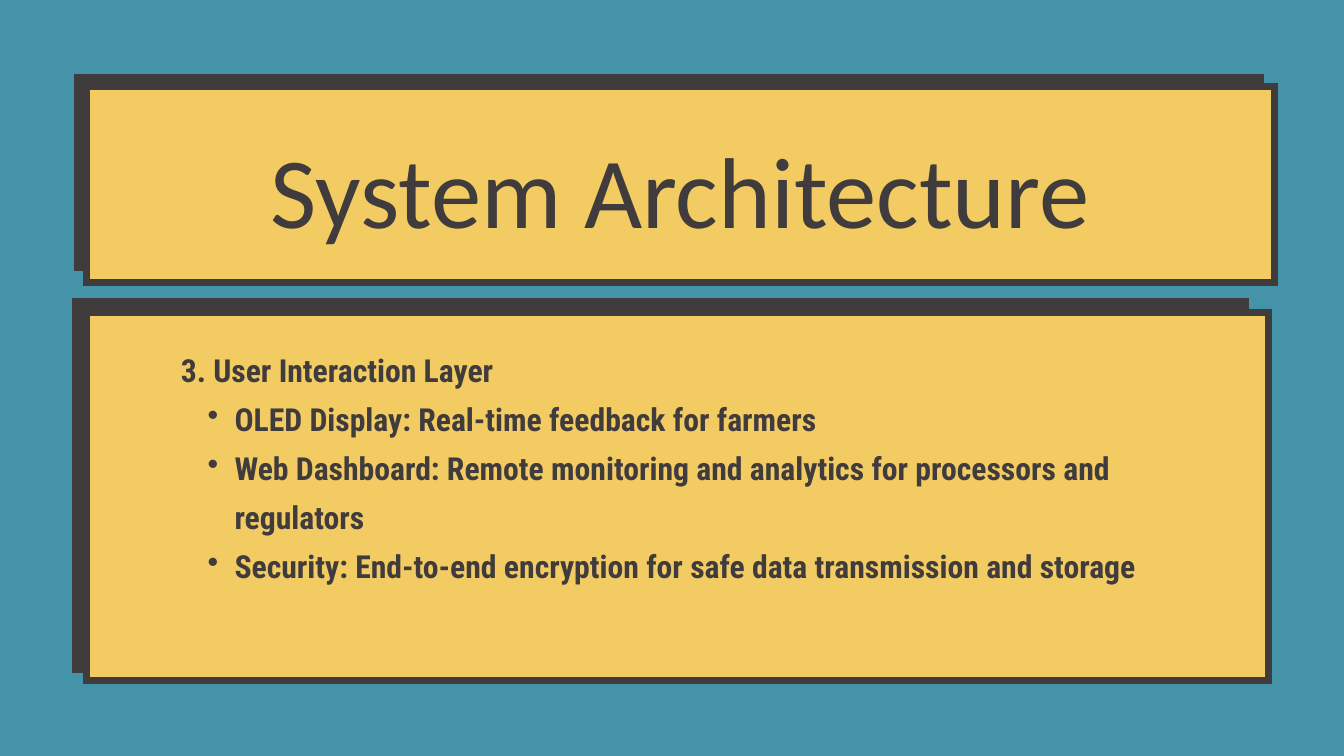
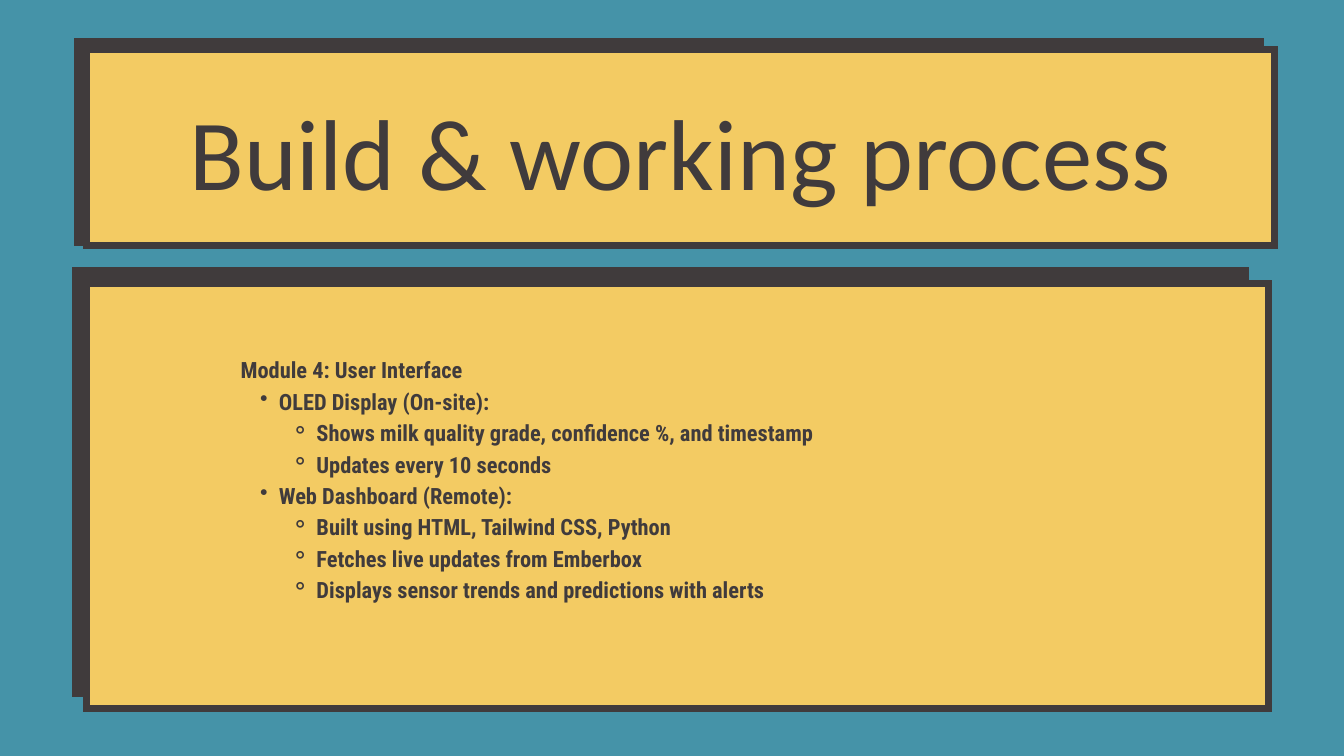
from dataclasses import dataclass

from lxml import etree
from pptx import Presentation
from pptx.dml.color import RGBColor
from pptx.enum.shapes import MSO_SHAPE
from pptx.enum.text import MSO_ANCHOR, MSO_AUTO_SIZE, PP_ALIGN
from pptx.oxml.ns import qn
from pptx.slide import Slide
from pptx.text.text import TextFrame
from pptx.util import Inches, Pt

RECTANGLE = MSO_SHAPE.RECTANGLE
TOP = MSO_ANCHOR.TOP
NO_AUTOFIT = MSO_AUTO_SIZE.NONE
CENTER, LEFT = PP_ALIGN.CENTER, PP_ALIGN.LEFT

SLIDE_WIDTH, SLIDE_HEIGHT = Inches(20), Inches(11.25)
COLUMNS, ROWS = 80, 45
TITLE_LAYOUT = 5


@dataclass(frozen=True)
class TextStyle:
    font: str
    size: float
    spacing: float
    bold: bool
    align: PP_ALIGN


@dataclass(frozen=True)
class Theme:
    background: RGBColor = RGBColor(0x45, 0x93, 0xA8)
    face: RGBColor = RGBColor(0xF3, 0xCB, 0x63)
    ink: RGBColor = RGBColor(0x40, 0x3B, 0x3C)
    border: float = 7.5
    thin_border: float = 3
    title: TextStyle = TextStyle("Calibri", 107.8, 150.9, False, CENTER)
    large: TextStyle = TextStyle("Roboto Condensed", 34, 52.7, True, LEFT)
    small: TextStyle = TextStyle("Roboto Condensed", 24, 33.6, True, LEFT)


THEME = Theme()


@dataclass(frozen=True)
class Area:
    column: float
    row: float
    columns: float
    rows: float

    def emu(self) -> tuple[int, int, int, int]:
        cell_width, cell_height = SLIDE_WIDTH / COLUMNS, SLIDE_HEIGHT / ROWS
        return (round(self.column * cell_width), round(self.row * cell_height),
                round(self.columns * cell_width), round(self.rows * cell_height))


@dataclass(frozen=True)
class Span:
    row: float
    rows: float


@dataclass(frozen=True)
class Bullet:
    symbol: str
    indent: float
    hanging: float


@dataclass(frozen=True)
class Line:
    text: str
    level: int = 0


@dataclass(frozen=True)
class Topic:
    title: str
    title_row: float
    band_shade: Span
    band_face: Span
    panel_shade: Span
    panel_face: Span
    body: Area
    style: TextStyle
    bullets: dict[int, Bullet]
    lines: tuple[Line, ...]


TOPICS = (
    Topic(
        "System Architecture", 6.4,
        Span(4.48, 11.6), Span(5.16, 11.64),
        Span(17.96, 21.88), Span(18.6, 21.88),
        Area(10.76, 20.2, 58.12, 17.76), THEME.large,
        {1: Bullet("•", 0.8, 0.4)},
        (
            Line("3. User Interaction Layer"),
            Line("OLED Display: Real-time feedback for farmers", 1),
            Line("Web Dashboard: Remote monitoring and analytics for processors and regulators", 1),
            Line("Security: End-to-end encryption for safe data transmission and storage", 1),
        ),
    ),
    Topic(
        "Build & working process", 4.16,
        Span(2.32, 12.24), Span(2.96, 11.64),
        Span(16.12, 25.16), Span(16.88, 25.28),
        Area(14.32, 20.96, 51.36, 14.96), THEME.small,
        {1: Bullet("•", 0.57, 0.28), 2: Bullet("⚬", 1.13, 0.38)},
        (
            Line("Module 4: User Interface"),
            Line("OLED Display (On-site):", 1),
            Line("Shows milk quality grade, confidence %, and timestamp", 2),
            Line("Updates every 10 seconds", 2),
            Line("Web Dashboard (Remote):", 1),
            Line("Built using HTML, Tailwind CSS, Python", 2),
            Line("Fetches live updates from Emberbox", 2),
            Line("Displays sensor trends and predictions with alerts", 2),
        ),
    ),
)


def draw_card(slide: Slide, area: Area, fill: RGBColor, border: float) -> None:
    card = slide.shapes.add_shape(RECTANGLE, *area.emu())
    card.shadow.inherit = False
    card.fill.solid()
    card.fill.fore_color.rgb = fill
    card.line.color.rgb = THEME.ink
    card.line.width = Pt(border)
    outline = card.element.spPr.find(qn("a:ln"))
    etree.SubElement(outline, qn("a:miter"), lim="800000")


def write_lines(frame: TextFrame, lines: tuple[Line, ...], style: TextStyle,
                bullets: dict[int, Bullet]) -> None:
    frame.word_wrap = True
    frame.auto_size = NO_AUTOFIT
    frame.vertical_anchor = TOP
    frame.margin_left = frame.margin_top = frame.margin_right = frame.margin_bottom = 0
    for index, line in enumerate(lines):
        paragraph = frame.add_paragraph() if index else frame.paragraphs[0]
        paragraph.text = line.text
        paragraph.level = line.level
        paragraph.alignment = style.align
        paragraph.line_spacing = Pt(style.spacing)
        if line.level in bullets:
            bullet = bullets[line.level]
            properties = paragraph._p.get_or_add_pPr()
            properties.set("marL", str(Inches(bullet.indent)))
            properties.set("indent", str(-Inches(bullet.hanging)))
            etree.SubElement(properties, qn("a:buChar"), char=bullet.symbol)
        paragraph.font.name = style.font
        paragraph.font.size = Pt(style.size)
        paragraph.font.bold = style.bold
        paragraph.font.color.rgb = THEME.ink


def draw_title(slide: Slide, topic: Topic) -> None:
    title = slide.shapes.title
    title.left, title.top, title.width, title.height = Area(
        8.16, topic.title_row, 64.68, 8.2).emu()
    write_lines(title.text_frame, (Line(topic.title),), THEME.title, {})
    title.element.getparent().append(title.element)


def draw_topic(slide: Slide, topic: Topic) -> None:
    slide.background.fill.solid()
    slide.background.fill.fore_color.rgb = THEME.background
    for column, columns, span, fill, border in (
        (4.48, 70.68, topic.band_shade, THEME.ink, THEME.thin_border),
        (5.16, 70.68, topic.band_face, THEME.face, THEME.border),
        (4.48, 69.64, topic.panel_shade, THEME.ink, THEME.border),
        (5.16, 70.32, topic.panel_face, THEME.face, THEME.border),
    ):
        draw_card(slide, Area(column, span.row, columns, span.rows), fill, border)
    draw_title(slide, topic)
    body = slide.shapes.add_textbox(*topic.body.emu())
    write_lines(body.text_frame, topic.lines, topic.style, topic.bullets)


def main() -> None:
    deck = Presentation()
    deck.slide_width, deck.slide_height = SLIDE_WIDTH, SLIDE_HEIGHT
    for topic in TOPICS:
        draw_topic(deck.slides.add_slide(deck.slide_layouts[TITLE_LAYOUT]), topic)
    deck.save("out.pptx")


if __name__ == "__main__":
    main()
